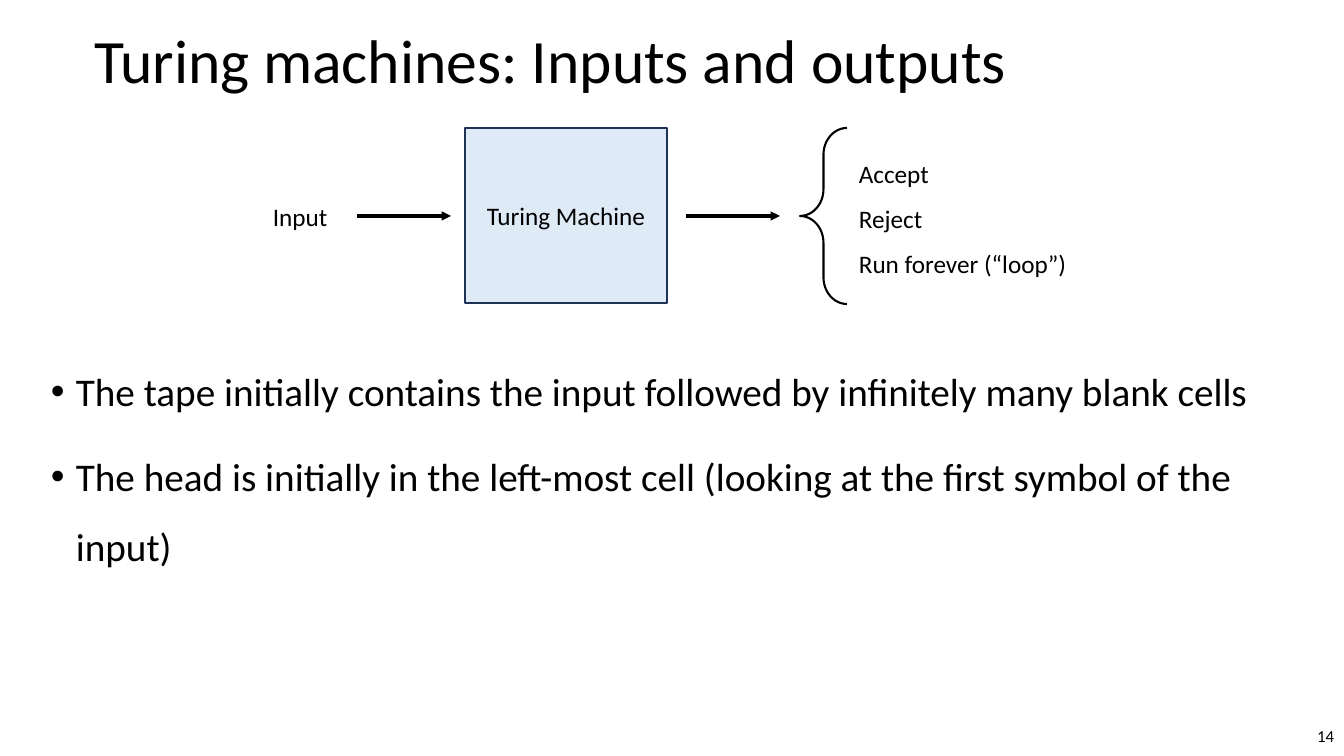
from lxml.etree import SubElement
from pptx import Presentation
from pptx.dml.color import RGBColor
from pptx.enum.shapes import MSO_CONNECTOR, MSO_SHAPE
from pptx.enum.text import MSO_ANCHOR, MSO_AUTO_SIZE, PP_ALIGN
from pptx.oxml.ns import qn
from pptx.util import Emu, Pt

BLACK = RGBColor(0x00, 0x00, 0x00)
MACHINE_FILL = RGBColor(0xDE, 0xEB, 0xF7)
MACHINE_LINE = RGBColor(0x1E, 0x32, 0x56)
FONT = "Calibri"
EMU_PER_PX = 914400 / 100.8
ARROW_Y = 216
ARROW_LENGTH = 94
BULLET_INDENT = 25


def px(length):
    return Emu(round(length * EMU_PER_PX))


def place(shape, left, top, width, height):
    shape.left, shape.top = px(left), px(top)
    shape.width, shape.height = px(width), px(height)


def write(shape, lines, size, align=PP_ALIGN.LEFT, anchor=MSO_ANCHOR.TOP,
          spacing=1.0, before=0, bullets=False):
    frame = shape.text_frame
    frame.auto_size = MSO_AUTO_SIZE.NONE
    frame.word_wrap = True
    frame.vertical_anchor = anchor
    for index, line in enumerate(lines):
        para = frame.add_paragraph() if index else frame.paragraphs[0]
        para.alignment = align
        para.line_spacing = spacing
        para.space_before = Pt(before if index else 0)
        if bullets:
            add_bullet(para)
        span = para.add_run()
        span.text = line
        span.font.name = FONT
        span.font.size = Pt(size)
        span.font.color.rgb = BLACK


def add_bullet(para):
    properties = para._p.get_or_add_pPr()
    properties.set("marL", str(px(BULLET_INDENT)))
    properties.set("indent", str(-px(BULLET_INDENT)))
    SubElement(properties, qn("a:buFont"), typeface="Arial")
    SubElement(properties, qn("a:buChar"), char="•")


def add_title(page, text):
    title = page.shapes.title
    place(title, 84, -9, 1159, 146)
    write(title, [text], 44, anchor=MSO_ANCHOR.MIDDLE, spacing=0.9)


def add_text(page, bounds, lines, size, **style):
    box = page.shapes.add_textbox(*map(px, bounds))
    write(box, lines, size, **style)


def add_machine(page, bounds, label):
    machine = page.shapes.add_shape(MSO_SHAPE.RECTANGLE, *map(px, bounds))
    machine.shadow.inherit = False
    machine.fill.solid()
    machine.fill.fore_color.rgb = MACHINE_FILL
    machine.line.color.rgb = MACHINE_LINE
    machine.line.width = Pt(1)
    write(machine, [label], 18, align=PP_ALIGN.CENTER, anchor=MSO_ANCHOR.MIDDLE)


def add_arrow(page, left):
    arrow = page.shapes.add_connector(
        MSO_CONNECTOR.STRAIGHT,
        px(left), px(ARROW_Y), px(left + ARROW_LENGTH), px(ARROW_Y))
    arrow.line.color.rgb = BLACK
    arrow.line.width = Pt(2.25)
    SubElement(arrow.line._get_or_add_ln(), qn("a:tailEnd"), type="triangle")
    SubElement(arrow._element.spPr, qn("a:effectLst"))


def add_brace(page, bounds):
    brace = page.shapes.add_shape(MSO_SHAPE.LEFT_BRACE, *map(px, bounds))
    brace.shadow.inherit = False
    brace.adjustments[0] = 0.57
    brace.adjustments[1] = 0.5
    brace.fill.background()
    brace.line.color.rgb = BLACK
    brace.line.width = Pt(1.5)


def main():
    deck = Presentation()
    deck.slide_width, deck.slide_height = px(1344), px(756)
    page = deck.slides.add_slide(deck.slide_layouts[5])

    add_title(page, "Turing machines: Inputs and outputs")
    add_text(page, (41, 339, 1262, 398), [
        "The tape initially contains the input followed by infinitely many blank cells",
        "The head is initially in the left-most cell (looking at the first symbol of the input)",
    ], 28, spacing=1.5, before=10, bullets=True)
    add_text(page, (1041, 716, 303, 40), ["14"], 12,
             align=PP_ALIGN.RIGHT, anchor=MSO_ANCHOR.MIDDLE)

    add_text(page, (263, 196, 94, 40), ["Input"], 18)
    add_machine(page, (465, 128, 202, 175), "Turing Machine")
    for left in (357, 686):
        add_arrow(page, left)
    add_brace(page, (800, 128, 47, 176))
    add_text(page, (849, 138, 232, 143),
             ["Accept", "Reject", "Run forever (“loop”)"], 18, spacing=1.5)

    deck.save("out.pptx")


if __name__ == "__main__":
    main()
